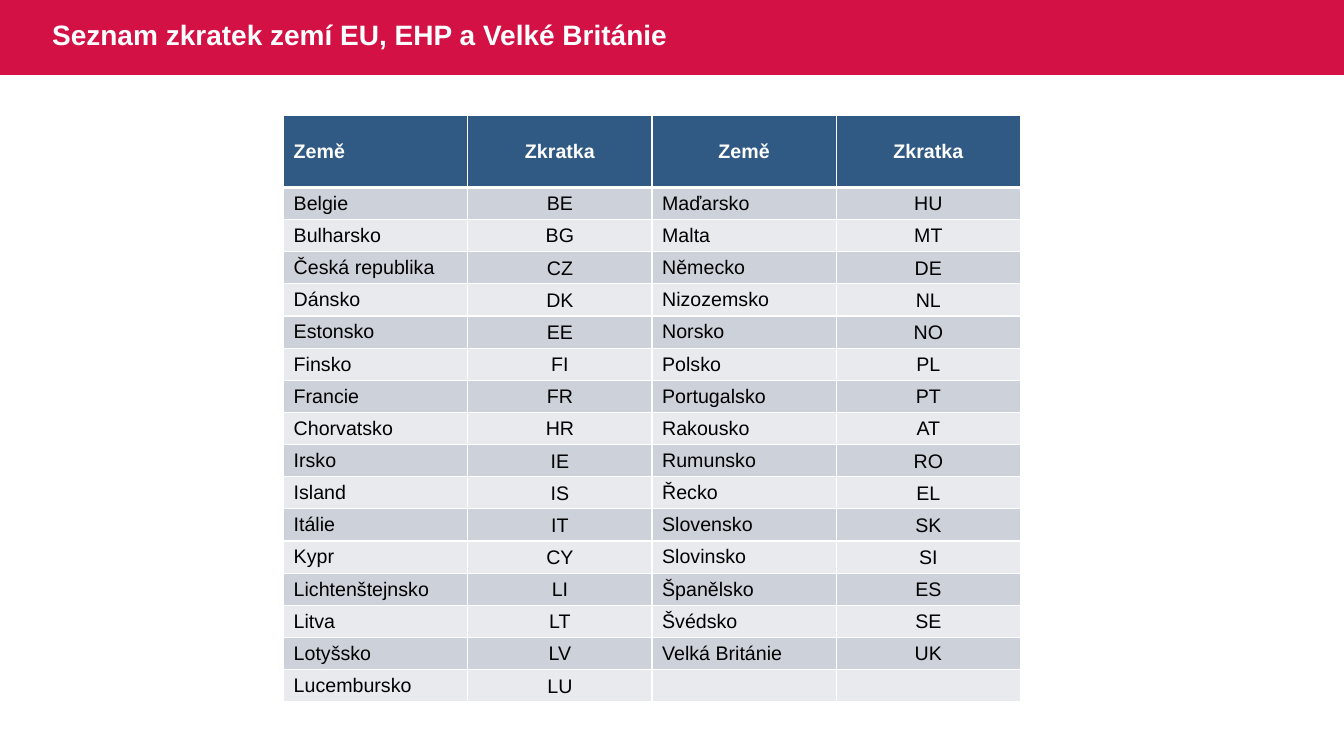
import pptx
import pptx.util
import pptx.dml.color
import pptx.enum.shapes
import pptx.enum.text
import pptx.oxml
import pptx.oxml.ns

Pt = pptx.util.Pt
RGBColor = pptx.dml.color.RGBColor
PP_ALIGN = pptx.enum.text.PP_ALIGN
MIDDLE = pptx.enum.text.MSO_ANCHOR.MIDDLE

WHITE = RGBColor(0xFF, 0xFF, 0xFF)
BLACK = RGBColor(0x00, 0x00, 0x00)
RED = RGBColor(0xD3, 0x11, 0x45)
BLUE = RGBColor(0x30, 0x59, 0x83)
DARK_BAND = RGBColor(0xCD, 0xD1, 0xD9)
LIGHT_BAND = RGBColor(0xE8, 0xEA, 0xED)

HEADER = ("Země", "Zkratka", "Země", "Zkratka")
COUNTRIES = [
    ("Belgie", "BE"), ("Bulharsko", "BG"), ("Česká republika", "CZ"),
    ("Dánsko", "DK"), ("Estonsko", "EE"), ("Finsko", "FI"),
    ("Francie", "FR"), ("Chorvatsko", "HR"), ("Irsko", "IE"),
    ("Island", "IS"), ("Itálie", "IT"), ("Kypr", "CY"),
    ("Lichtenštejnsko", "LI"), ("Litva", "LT"), ("Lotyšsko", "LV"),
    ("Lucembursko", "LU"), ("Maďarsko", "HU"), ("Malta", "MT"),
    ("Německo", "DE"), ("Nizozemsko", "NL"), ("Norsko", "NO"),
    ("Polsko", "PL"), ("Portugalsko", "PT"), ("Rakousko", "AT"),
    ("Rumunsko", "RO"), ("Řecko", "EL"), ("Slovensko", "SK"),
    ("Slovinsko", "SI"), ("Španělsko", "ES"), ("Švédsko", "SE"),
    ("Velká Británie", "UK"), ("", ""),
]
HALF = len(COUNTRIES) // 2


def set_border(cell, side, width):
    cell._tc.get_or_add_tcPr().append(pptx.oxml.parse_xml(
        f'<a:ln{side} {pptx.oxml.ns.nsdecls("a")} w="{Pt(width)}">'
        f'<a:solidFill><a:srgbClr val="{WHITE}"/></a:solidFill></a:ln{side}>'))


def format_run(r, size, color, bold):
    r.font.name = "Arial"
    r.font.size = Pt(size)
    r.font.bold = bold
    r.font.color.rgb = color


prs = pptx.Presentation()
prs.slide_width = Pt(960)
prs.slide_height = Pt(540)
s = prs.slides.add_slide(prs.slide_layouts[5])

title = s.shapes.title
title.left, title.top, title.width, title.height = Pt(30), Pt(0), Pt(587.5), Pt(52.5)
tf = title.text_frame
tf.text = "Seznam zkratek zemí EU, EHP a Velké Británie"
tf.vertical_anchor = MIDDLE
tf.word_wrap = True
p = tf.paragraphs[0]
p.alignment = PP_ALIGN.LEFT
p.line_spacing = 0.9
format_run(p.runs[0], 20, WHITE, True)

band = s.shapes.add_shape(
    pptx.enum.shapes.MSO_SHAPE.RECTANGLE, Pt(0), Pt(0), prs.slide_width, Pt(53.5))
band.shadow.inherit = False
band.fill.solid()
band.fill.fore_color.rgb = RED
band.line.fill.background()
title.element.addprevious(band.element)

rows = [HEADER] + [a + b for a, b in zip(COUNTRIES[:HALF], COUNTRIES[HALF:])]
table = s.shapes.add_table(
    len(rows), len(HEADER), Pt(202.6), Pt(82.4), Pt(526.4), Pt(340)).table
for column in table.columns:
    column.width = Pt(131.6)

for i, row in enumerate(rows):
    table.rows[i].height = Pt(18 if i else 51.5)
    for j, text in enumerate(row):
        cell = table.cell(i, j)
        cell.vertical_anchor = MIDDLE
        if i and (j % 2 or not text):
            cell.margin_left = cell.margin_top = cell.margin_right = Pt(0.75)
            cell.margin_bottom = Pt(0)
        for side in "LRTB":
            thick = (i, side) in ((0, "B"), (1, "T"))
            set_border(cell, side, 3 if thick else 1)
        cell.fill.solid()
        cell.fill.fore_color.rgb = (LIGHT_BAND, DARK_BAND)[i % 2] if i else BLUE
        cell.text_frame.text = text
        p = cell.text_frame.paragraphs[0]
        centred = j % 2 or (i == 0 and j > 0)
        p.alignment = PP_ALIGN.CENTER if centred else PP_ALIGN.LEFT
        for r in p.runs:
            format_run(r, 14, BLACK if i else WHITE, i == 0)

prs.save("out.pptx")
